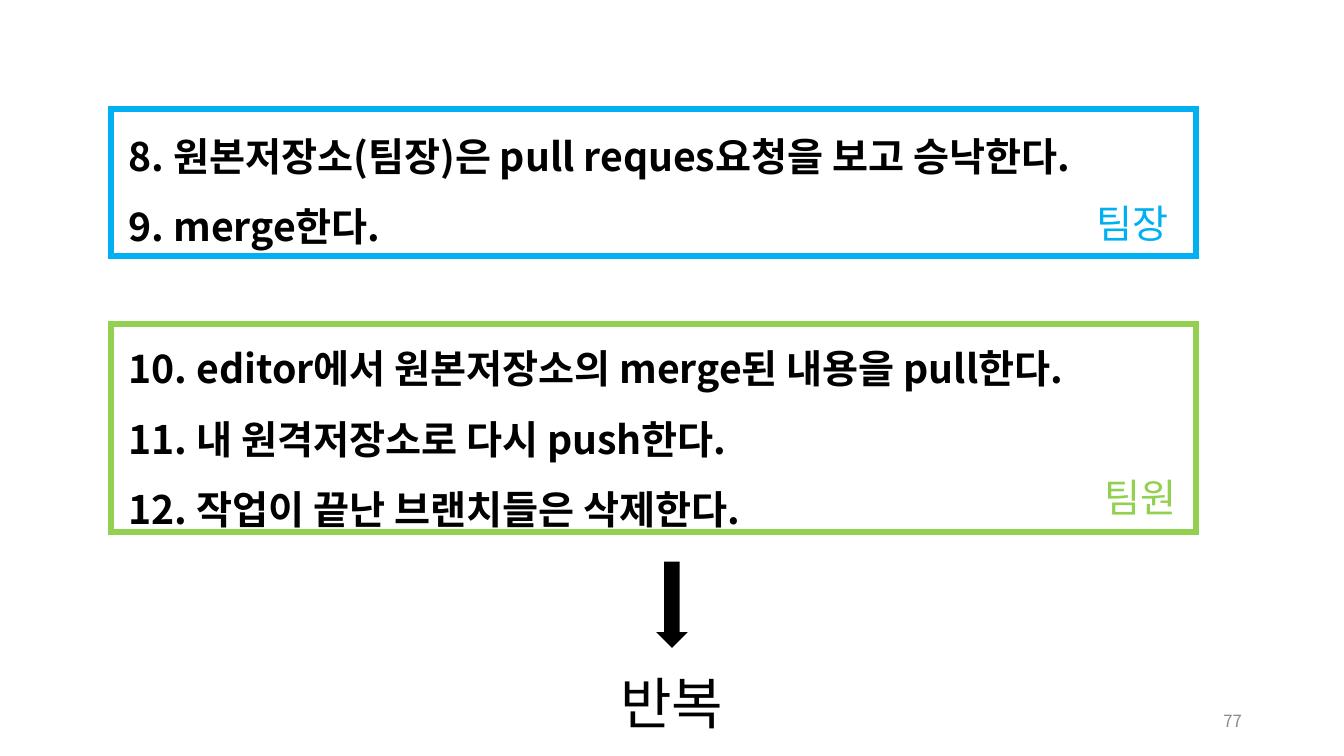
from lxml.etree import SubElement
from pptx import Presentation
from pptx.dml.color import RGBColor
from pptx.enum.shapes import MSO_SHAPE as Shape
from pptx.enum.text import MSO_ANCHOR as Anchor, MSO_AUTO_SIZE as AutoSize, PP_ALIGN as Align
from pptx.oxml.ns import qn
from pptx.util import Cm, Pt

FONT = "Noto Sans CJK KR"
BLACK, GRAY, BLUE, GREEN = "000000", "8C8C8C", "00B0F0", "92D050"

PANELS = [
    {
        "box": (2.79, 2.74, 27.35, 3.71),
        "color": BLUE,
        "steps": [
            "8. 원본저장소(팀장)은 pull reques요청을 보고 승낙한다.",
            "9. merge한다.",
        ],
        "steps_rise": 0.13,
        "role": "팀장",
        "role_offset": (24.59, 2.16),
    },
    {
        "box": (2.79, 8.16, 27.35, 5.24),
        "color": GREEN,
        "steps": [
            "10. editor에서 원본저장소의 merge된 내용을 pull한다.",
            "11. 내 원격저장소로 다시 push한다.",
            "12. 작업이 끝난 브랜치들은 삭제한다.",
        ],
        "steps_rise": 0.2,
        "role": "팀원",
        "role_offset": (24.79, 3.65),
    },
]


def rgb(color):
    return RGBColor.from_string(color)


def apply(target, values):
    for name, value in values.items():
        setattr(target, name, value)


def place(shape, box):
    apply(shape, dict(zip(("left", "top", "width", "height"), map(Cm, box))))


def write(frame, lines, size, color, bold=False, anchor=Anchor.TOP, **layout):
    apply(frame, {"word_wrap": True, "auto_size": AutoSize.NONE, "vertical_anchor": anchor})
    for index, line in enumerate(lines):
        paragraph = frame.paragraphs[0] if index == 0 else frame.add_paragraph()
        properties = paragraph._p.get_or_add_pPr()
        apply(paragraph, {"space_before": Pt(0), **layout})
        properties.set("marL", "0")
        properties.set("indent", "0")
        SubElement(properties, qn("a:buNone"))
        run = paragraph.add_run()
        run.text = line
        apply(run.font, {"size": Pt(size), "bold": bold, "name": FONT})
        run.font.color.rgb = rgb(color)
        SubElement(run._r.get_or_add_rPr(), qn("a:ea")).set("typeface", FONT)


def add_text(slide, box, text, size, color, **layout):
    shape = slide.shapes.add_textbox(*map(Cm, box))
    write(shape.text_frame, [text], size, color, **layout)


def add_shape(slide, kind, box, color, line_width, filled):
    shape = slide.shapes.add_shape(kind, *map(Cm, box))
    shape.shadow.inherit = False
    if filled:
        shape.fill.solid()
        shape.fill.fore_color.rgb = rgb(color)
    else:
        shape.fill.background()
    shape.line.color.rgb = rgb(color)
    shape.line.width = Pt(line_width)
    outline = shape.element.spPr.find(qn("a:ln"))
    SubElement(outline, qn("a:miter")).set("lim", "800000")


def add_panel(slide, body, panel):
    left, top, width, height = panel["box"]
    steps = panel["steps"]
    place(body, (left + 0.2, top - panel["steps_rise"], width + 3.2, 1.8 * len(steps) + 0.25))
    write(body.text_frame, steps, 28, BLACK, bold=True, alignment=Align.JUSTIFY, line_spacing=1.5)
    add_shape(slide, Shape.RECTANGLE, panel["box"], panel["color"], 4.5, False)
    across, down = panel["role_offset"]
    add_text(slide, (left + across, top + down, 3.05, 1.45), panel["role"], 28, panel["color"])


def add_repeat(slide, box):
    left, top, width, height = box
    arrow_width, arrow_height, label_height = 0.71, 2.13, 1.96
    arrow_box = (left + (width - arrow_width) / 2, top, arrow_width, arrow_height)
    add_shape(slide, Shape.DOWN_ARROW, arrow_box, BLACK, 1, True)
    label_box = (left, top + height - label_height, width, label_height)
    add_text(slide, label_box, "반복", 40, BLACK, alignment=Align.CENTER)


def add_page_number(slide, box):
    add_text(slide, box, "77", 12, GRAY, anchor=Anchor.MIDDLE, alignment=Align.RIGHT)


def main():
    presentation = Presentation()
    apply(presentation, {"slide_width": Cm(33.87), "slide_height": Cm(19.05)})
    slide = presentation.slides.add_slide(presentation.slide_layouts[3])
    title, *bodies = slide.placeholders
    title.element.getparent().remove(title.element)
    for body, panel in zip(bodies, PANELS):
        add_panel(slide, body, panel)
    add_repeat(slide, (15.31, 14.17, 3.25, 4.5))
    add_page_number(slide, (23.93, 17.65, 7.62, 1.02))
    presentation.save("out.pptx")


if __name__ == "__main__":
    main()
